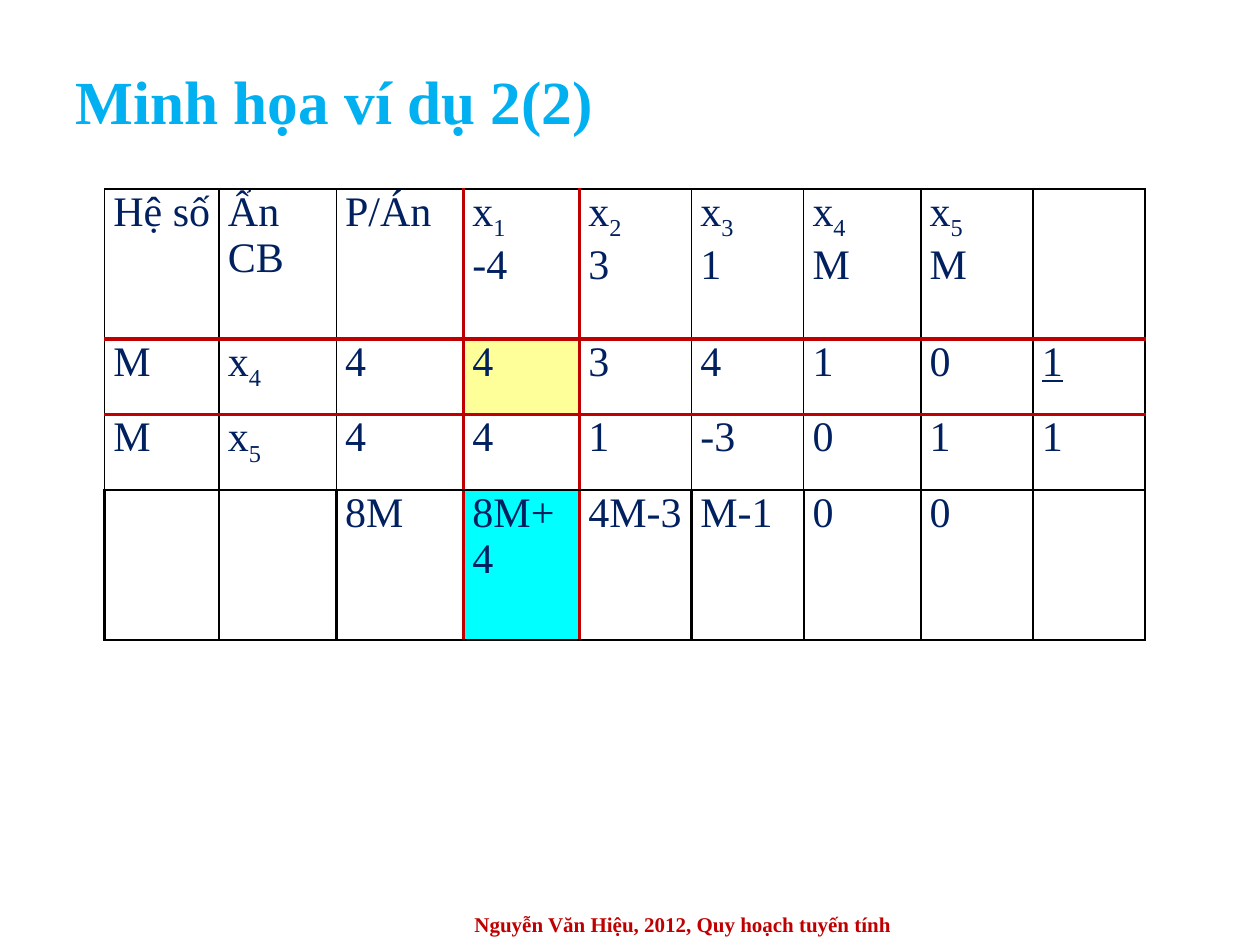
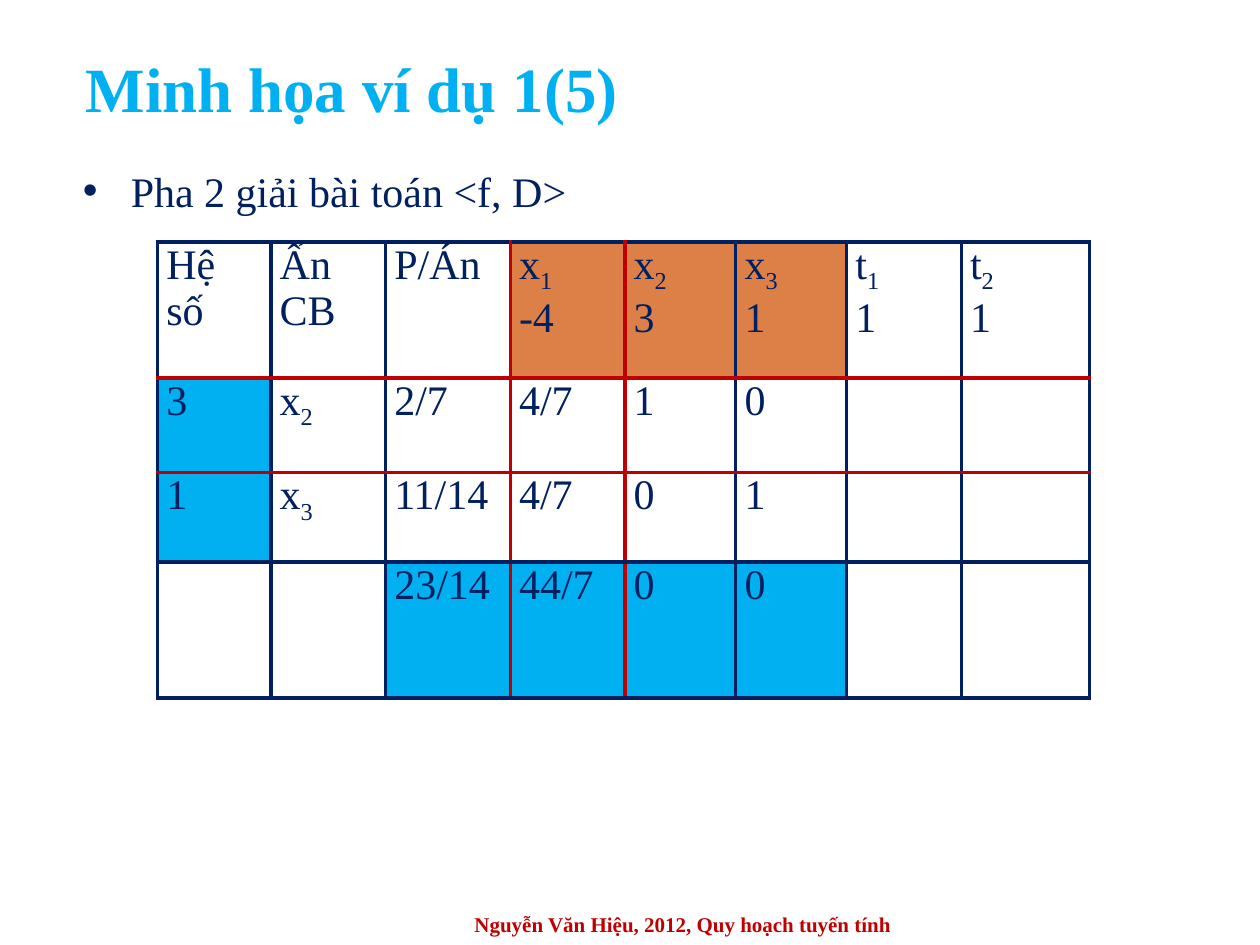
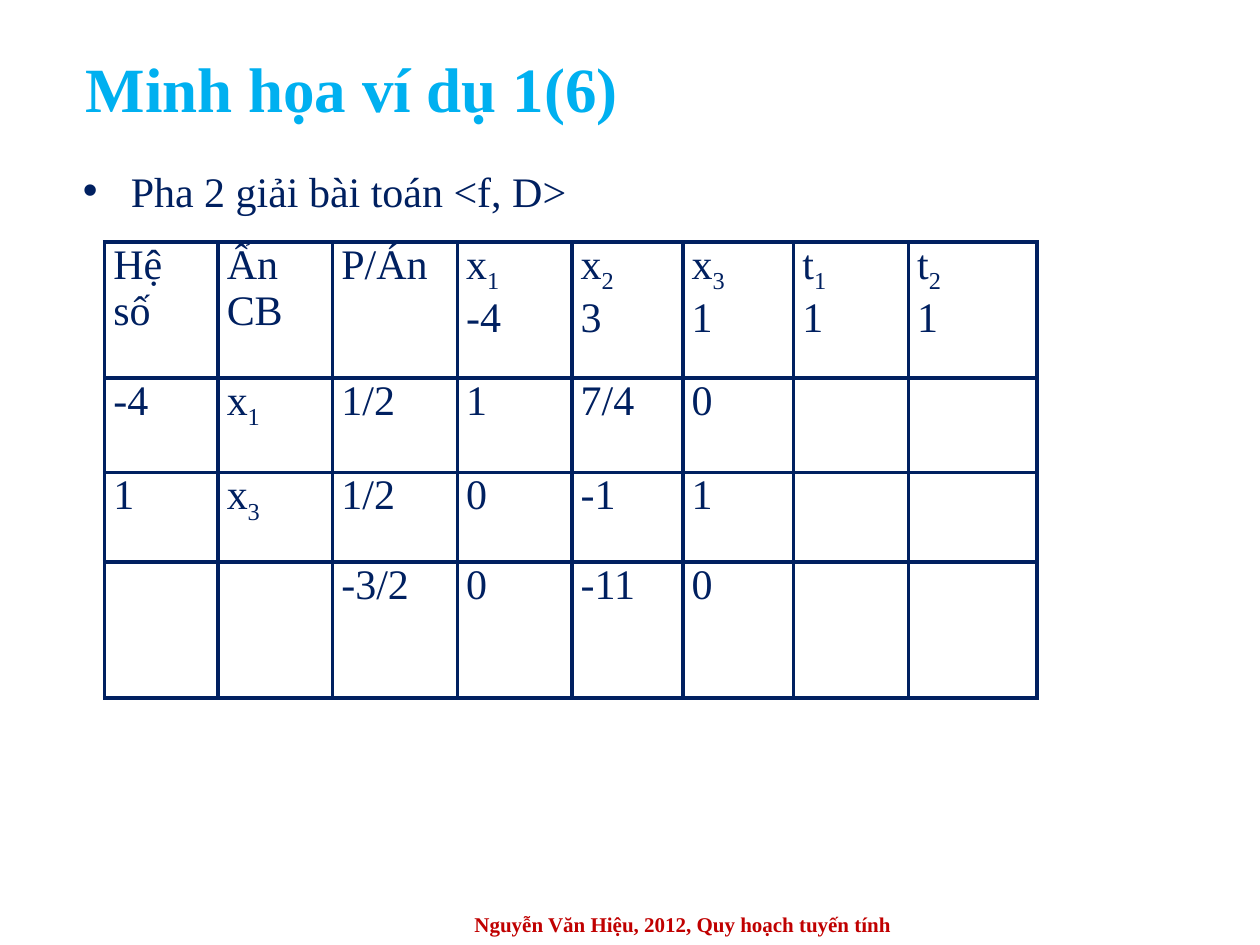
from pptx import Presentation
from pptx.dml.color import RGBColor
from pptx.enum.text import MSO_ANCHOR as Anchor, MSO_AUTO_SIZE as Fit, PP_ALIGN as Align
from pptx.oxml import parse_xml
from pptx.oxml.ns import nsdecls
from pptx.util import Inches, Pt

HUES = {"title": "00B0F0", "text": "002060", "red": "C00000", "black": "000000",
        "gold": "FFFF99", "cyan": "00FFFF", "rust": "DD8047"}
FONT = "Times New Roman"
FOOT = "Nguyễn Văn Hiệu, 2012, Quy hoạch tuyến tính"
PHASE = "Pha 2 giải bài toán <f, D>"

HEAD = ["Hệ số", "Ẩn CB", "P/Án", "x_1|-4", "x_2|3", "x_3|1"]
TALL = [1.08, 0.75, 0.71, 1.08]
WIDE = [0.9, 0.91, 0.99, 0.91, 0.88, 0.88, 0.91, 1.02]
LOW = dict(box=(0.58, 0.29, 7.16, 0.81), size=36, anchor=Anchor.TOP, pad=0.1,
           note=PHASE, top=1.92, cols=WIDE, rows=TALL, ink="text")

SLIDES = [
    dict(title="Minh họa ví dụ 2(2)", box=(0.5, 0.42, 9, 0.75), size=35,
         anchor=Anchor.MIDDLE, pad=0.05, note="", left=0.83, top=1.5,
         cols=[0.91, 0.93, 1.01, 0.92, 0.89, 0.89, 0.93, 0.89, 0.89],
         rows=[1.19, 0.6, 0.6, 1.19], ink="black", pivot=True,
         fills={(1, 3): "gold", (3, 3): "cyan"}, under=(1, 8),
         cells=[HEAD + ["x_4|M", "x_5|M", ""],
                ["M", "x_4", "4", "4", "3", "4", "1", "0", "1"],
                ["M", "x_5", "4", "4", "1", "-3", "0", "1", "1"],
                ["", "", "8M", "8M+4", "4M-3", "M-1", "0", "0", ""]]),
    dict(LOW, title="Minh họa ví dụ 1(5)", left=1.25, pivot=True, under=None,
         fills={**{(0, c): "rust" for c in (3, 4, 5)},
                **{(r, 0): "title" for r in (1, 2)},
                **{(3, c): "title" for c in (2, 3, 4, 5)}},
         cells=[HEAD + ["t_1|1", "t_2|1"],
                ["3", "x_2", "2/7", "4/7", "1", "0", "", ""],
                ["1", "x_3", "11/14", "4/7", "0", "1", "", ""],
                ["", "", "23/14", "44/7", "0", "0", "", ""]]),
    dict(LOW, title="Minh họa ví dụ 1(6)", left=0.83, pivot=False, under=None, fills={},
         cells=[HEAD + ["t_1|1", "t_2|1"],
                ["-4", "x_1", "1/2", "1", "7/4", "0", "", ""],
                ["1", "x_3", "1/2", "0", "-1", "1", "", ""],
                ["", "", "-3/2", "0", "-11", "0", "", ""]]),
]


def style(font, size, hue, bold=False):
    font.name, font.size, font.bold = FONT, Pt(size), bold
    font.color.rgb = RGBColor.from_string(HUES[hue])


def fill_box(shape, text, size, hue, bold=False, align=Align.LEFT,
             anchor=Anchor.TOP, pad=0.1, bullet=False):
    frame = shape.text_frame
    frame.text = text
    frame.word_wrap = True
    frame.auto_size = Fit.NONE
    frame.vertical_anchor = anchor
    frame.margin_left = frame.margin_right = Inches(0.1)
    frame.margin_top = frame.margin_bottom = Inches(pad)
    par = frame.paragraphs[0]
    par.alignment = align
    if bullet:
        props = par._p.get_or_add_pPr()
        props.set("marL", str(Inches(0.38)))
        props.set("indent", str(-Inches(0.38)))
        for tag in (f'<a:buClr {nsdecls("a")}><a:srgbClr val="{HUES[hue]}"/></a:buClr>',
                    f'<a:buFont {nsdecls("a")} typeface="Arial"/>',
                    f'<a:buChar {nsdecls("a")} char="•"/>'):
            props.append(parse_xml(tag))
    style(par.runs[0].font, size, hue, bold)


def add_box(slide, box, *args, **opts):
    fill_box(slide.shapes.add_textbox(*map(Inches, box)), *args, **opts)


def edge(cell, side, hue, width):
    cell._tc.get_or_add_tcPr().append(parse_xml(
        f'<a:ln{side} {nsdecls("a")} w="{Pt(width)}"><a:solidFill>'
        f'<a:srgbClr val="{HUES[hue]}"/></a:solidFill></a:ln{side}>'))


def rule(data, axis, line, row):
    marked = (3, 4) if axis == "col" else (1, 2)
    if data["pivot"] and line in marked:
        return "red", 2.25
    if data["ink"] == "text":
        return "text", 2.25
    thick = row == 3 if axis == "col" else line > 2
    return "black", 1.5 if thick else 1


def write(cell, text, under):
    frame = cell.text_frame
    for i, line in enumerate(text.split("|")):
        par = frame.add_paragraph() if i else frame.paragraphs[0]
        par.alignment = Align.JUSTIFY
        style(par.font, 24, "text")
        for j, part in enumerate(line.split("_")):
            if part:
                run = par.add_run()
                run.text = part
                style(run.font, 24, "text")
                if under:
                    run.font.underline = True
                if j:
                    run.font._element.set("baseline", "-25000")


def add_grid(slide, data):
    cols, rows = data["cols"], data["rows"]
    place = data["left"], data["top"], sum(cols), sum(rows)
    table = slide.shapes.add_table(len(rows), len(cols), *map(Inches, place)).table
    table.first_row = table.horz_banding = False
    for col, width in zip(table.columns, cols):
        col.width = Inches(width)
    for row, height in zip(table.rows, rows):
        row.height = Inches(height)
    for r, line in enumerate(data["cells"]):
        for c, text in enumerate(line):
            cell = table.cell(r, c)
            cell.margin_left = cell.margin_right = Inches(0.07)
            cell.margin_top = cell.margin_bottom = 0
            write(cell, text, (r, c) == data["under"])
            for side, axis, pos in (("L", "col", c), ("R", "col", c + 1),
                                    ("T", "row", r), ("B", "row", r + 1)):
                edge(cell, side, *rule(data, axis, pos, r))
            hue = data["fills"].get((r, c))
            if hue:
                cell.fill.solid()
                cell.fill.fore_color.rgb = RGBColor.from_string(HUES[hue])
            else:
                cell.fill.background()


def main():
    deck = Presentation()
    deck.slide_width, deck.slide_height = Inches(10), Inches(7.5)
    for data in SLIDES:
        slide = deck.slides.add_slide(deck.slide_layouts[5])
        title = slide.shapes.title
        title.left, title.top, title.width, title.height = map(Inches, data["box"])
        fill_box(title, data["title"], data["size"], "title", True,
                 anchor=data["anchor"], pad=data["pad"])
        add_box(slide, (2.92, 7.17, 5, 0.33), FOOT, 12, "red", True,
                align=Align.CENTER, anchor=Anchor.MIDDLE, pad=0.05)
        add_grid(slide, data)
        if data["note"]:
            add_box(slide, (0.56, 1.21, 8.42, 0.61), data["note"], 24, "text", bullet=True)
    deck.save("out.pptx")


if __name__ == "__main__":
    main()
